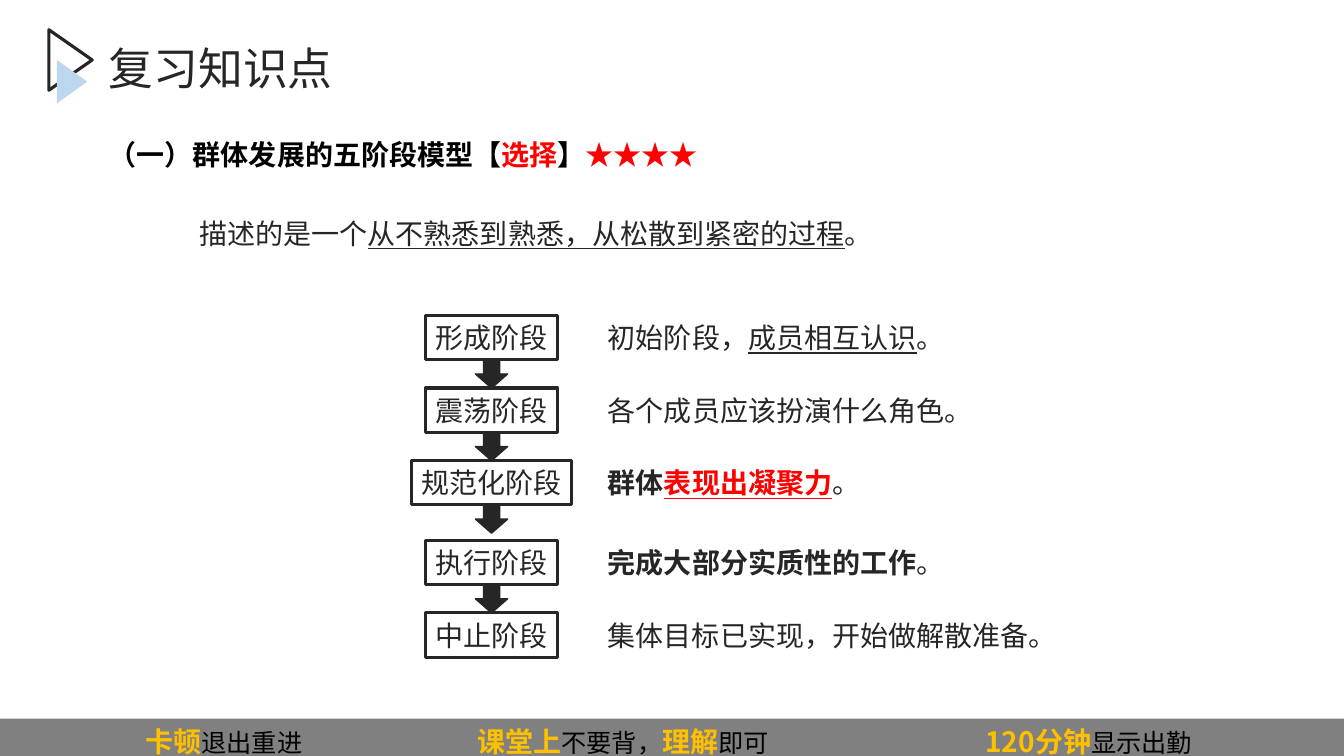
"""Build the review slide on the five-stage model of group development."""
from dataclasses import dataclass

from lxml.etree import SubElement
from pptx import Presentation
from pptx.dml.color import RGBColor
from pptx.enum.shapes import MSO_SHAPE
from pptx.enum.text import MSO_ANCHOR
from pptx.oxml.ns import qn
from pptx.util import Inches, Pt

FONT = "Noto Sans CJK SC"
INK, RED, GOLD, BLACK = "262626", "FF0000", "FFC000", "000000"
GREY, PALE_BLUE = "808080", "BDD7EE"
PAGE_WIDTH, PAGE_HEIGHT = Inches(13.33), Inches(7.5)
CHARACTER, SIDE_MARGINS, LINE_HEIGHT = 2.08, 1.5, 5.87
STAGE_CENTRE, STAGE_TOP, STAGE_PITCH = 36.57, 41.73, 9.6
EXTRA_GAP, GAP_FROM = 0.94, 3
ARROW_WIDTH, ARROW_HEIGHT = 2.4, 3.73
NOTE_LEFT = 44.49


@dataclass(frozen=True)
class Area:
    """A rectangle in percent of the slide's width and height."""

    left: float
    top: float
    width: float
    height: float

    def lengths(self) -> tuple[int, int, int, int]:
        """Return left, top, width and height as slide lengths."""
        across, down = PAGE_WIDTH / 100, PAGE_HEIGHT / 100
        return (round(self.left * across), round(self.top * down),
                round(self.width * across), round(self.height * down))


@dataclass(frozen=True)
class Span:
    """A stretch of text in one format."""

    text: str
    size: int = 20
    color: str = INK
    bold: bool = False
    underline: bool = False


@dataclass(frozen=True)
class Stage:
    """A stage of the model and what is said about it."""

    name: str
    note: list[Span]


STAGES = [
    Stage("形成阶段", [Span("初始阶段，"), Span("成员相互认识", underline=True), Span("。")]),
    Stage("震荡阶段", [Span("各个成员应该扮演什么角色。")]),
    Stage("规范化阶段", [Span("群体", bold=True),
                    Span("表现出凝聚力", color=RED, bold=True, underline=True), Span("。")]),
    Stage("执行阶段", [Span("完成大部分实质性的工作", bold=True), Span("。")]),
    Stage("中止阶段", [Span("集体目标已实现，开始做解散准备。")]),
]
INTRO = [Span("描述的是一个"), Span("从不熟悉到熟悉，从松散到紧密的过程", underline=True), Span("。")]
HEADING = [Span("（一）群体发展的五阶段模型【", color=BLACK, bold=True),
           Span("选择", color=RED, bold=True), Span("】", color=BLACK, bold=True),
           Span("★★★★", color=RED)]


def paint(hex_color: str) -> RGBColor:
    """Turn a hex string into a colour."""
    return RGBColor.from_string(hex_color)


def write(shape, spans: list[Span], *, anchor=MSO_ANCHOR.MIDDLE, wrap: bool = False,
          spacing: float = 1.0):
    """Write spans as one left-aligned paragraph and return it."""
    frame = shape.text_frame
    frame.word_wrap = wrap
    frame.vertical_anchor = anchor
    para = frame.paragraphs[0]
    para.line_spacing = spacing
    for span in spans:
        run = para.add_run()
        run.text = span.text
        font = run.font
        font.size, font.bold, font.underline = Pt(span.size), span.bold, span.underline
        font.color.rgb = paint(span.color)
        font.name = FONT
        SubElement(run._r.get_or_add_rPr(), qn("a:ea"), typeface=FONT)
    return para


def add_box(page, kind, area: Area, *, fill: str = "", line: str = "",
            weight: float = 2.25, rotation: float = 0):
    """Add a preset shape without a shadow."""
    box = page.shapes.add_shape(kind, *area.lengths())
    box.shadow.inherit = False
    box.rotation = rotation
    if fill:
        box.fill.solid()
        box.fill.fore_color.rgb = paint(fill)
    else:
        box.fill.background()
    if line:
        box.line.color.rgb = paint(line)
        box.line.width = Pt(weight)
    else:
        box.line.fill.background()
    return box


def add_text(page, area: Area, spans: list[Span], **formats) -> None:
    """Add a text box holding the spans."""
    write(page.shapes.add_textbox(*area.lengths()), spans, **formats)


def width_of(spans: list[Span]) -> float:
    """Return the width of a box that fits one line of 20 point text."""
    return CHARACTER * sum(len(span.text) for span in spans) + SIDE_MARGINS


def add_line(page, left: float, top: float, spans: list[Span]) -> None:
    """Add a single line of text in a box fitted to it."""
    add_text(page, Area(left, top, width_of(spans), LINE_HEIGHT), spans)


def add_stages(page) -> None:
    """Draw the chain of stages with arrows and notes."""
    for index, stage in enumerate(STAGES):
        top = STAGE_TOP + index * STAGE_PITCH + (EXTRA_GAP if index >= GAP_FROM else 0)
        name = [Span(stage.name)]
        width = width_of(name)
        area = Area(STAGE_CENTRE - width / 2, top, width, LINE_HEIGHT)
        para = write(add_box(page, MSO_SHAPE.RECTANGLE, area, line=INK), name)
        para.alignment = 1
        add_line(page, NOTE_LEFT, top, stage.note)
        if index < len(STAGES) - 1:
            arrow = Area(STAGE_CENTRE - ARROW_WIDTH / 2, top + LINE_HEIGHT,
                         ARROW_WIDTH, ARROW_HEIGHT)
            add_box(page, MSO_SHAPE.DOWN_ARROW, arrow, fill=INK, line=INK, weight=1)


def add_footer(page) -> None:
    """Draw the bottom bar with three reminders at tab stops."""
    bar = add_box(page, MSO_SHAPE.RECTANGLE, Area(-0.08, 95.07, 100.1, 5.87), fill=GREY)
    bar.text_frame.margin_left = round(PAGE_WIDTH * 0.109)
    strong = {"color": GOLD, "bold": True}
    plain = {"size": 18, "color": BLACK}
    para = write(bar, [
        Span("卡顿", **strong), Span("退出重进\t", **plain),
        Span("课堂上", **strong), Span("不要背，", **plain),
        Span("理解", **strong), Span("即可\t", **plain),
        Span("120分钟", **strong), Span("显示出勤", **plain)], wrap=True)
    para.alignment = 1
    tabs = SubElement(para._p.get_or_add_pPr(), qn("a:tabLst"))
    for share in (0.247, 0.625):
        SubElement(tabs, qn("a:tab"), pos=str(round(PAGE_WIDTH * share)), algn="l")


def main() -> None:
    """Build and save the deck."""
    deck = Presentation()
    deck.slide_width, deck.slide_height = PAGE_WIDTH, PAGE_HEIGHT
    page = deck.slides.add_slide(deck.slide_layouts[6])
    triangle = MSO_SHAPE.ISOSCELES_TRIANGLE
    add_box(page, triangle, Area(3, 5.07, 4.5, 5.73), line=INK, rotation=90)
    add_box(page, triangle, Area(3.75, 8.8, 3.23, 4), fill=PALE_BLUE, rotation=90)
    add_footer(page)
    top = {"anchor": MSO_ANCHOR.TOP, "wrap": True, "spacing": 0.9}
    add_text(page, Area(7.35, 5.47, 90, 12.4), [Span("复习知识点", size=32)], **top)
    add_text(page, Area(7.35, 18, 86.27, 77.87), HEADING, **top)
    add_stages(page)
    add_line(page, 14.1, 27.87, INTRO)
    deck.save("out.pptx")


if __name__ == "__main__":
    main()
